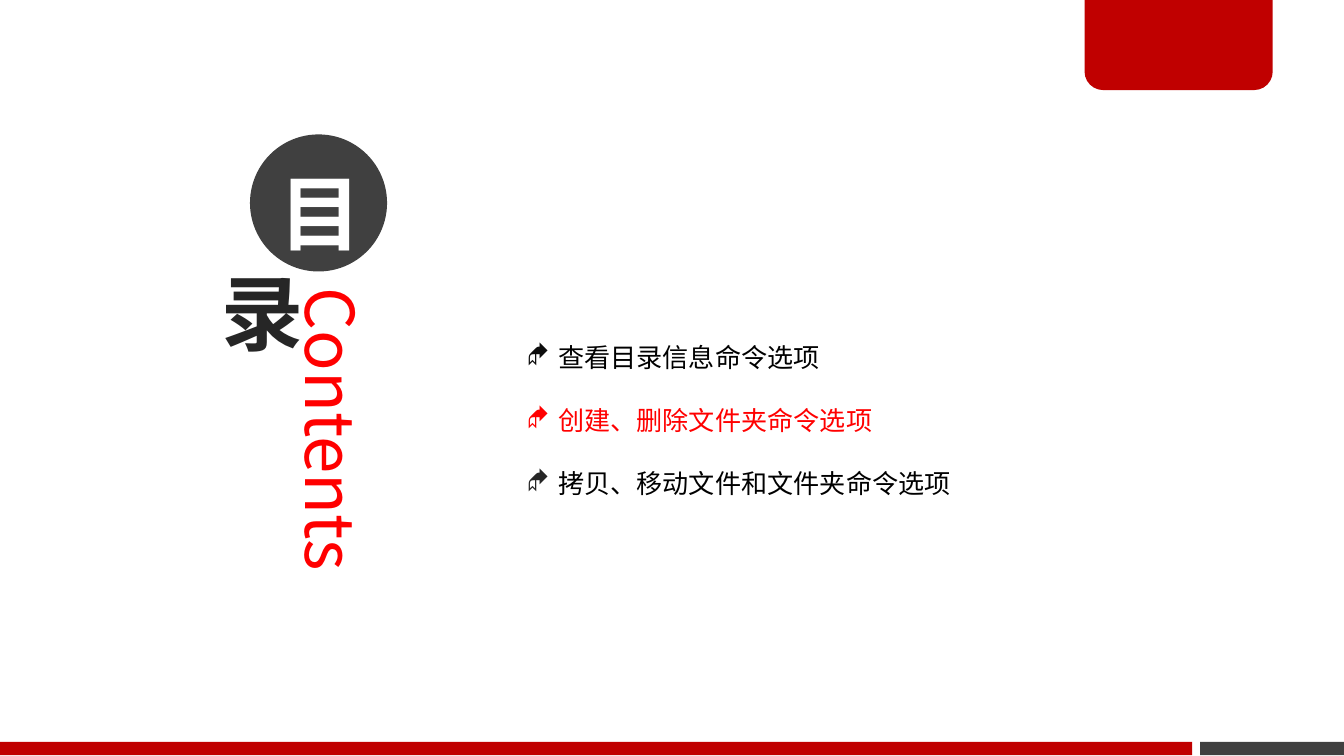
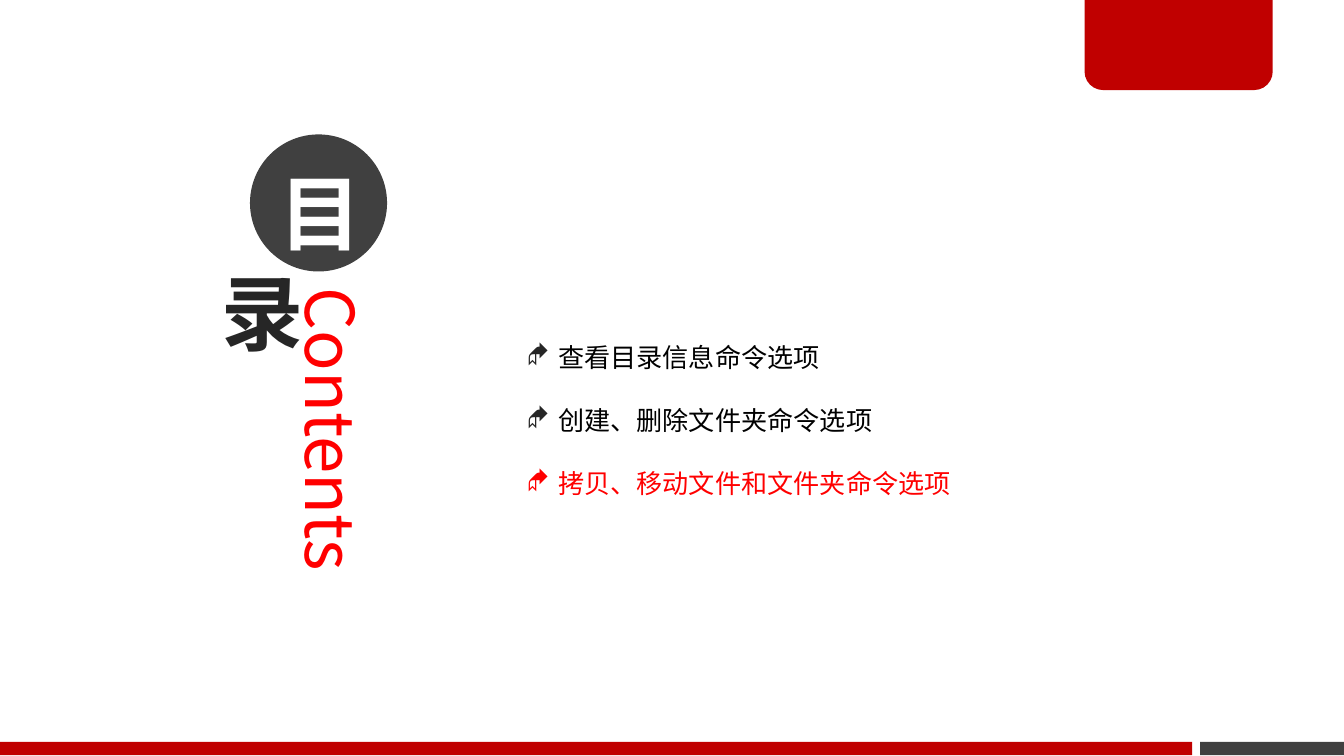
"""Builds two contents slides, each highlighting one section."""
from lxml.etree import SubElement
from pptx import Presentation
from pptx.dml.color import RGBColor
from pptx.enum.shapes import MSO_SHAPE
from pptx.enum.text import MSO_ANCHOR, MSO_AUTO_SIZE, PP_ALIGN
from pptx.oxml.ns import qn
from pptx.util import Inches, Pt

FONT = "Noto Sans CJK SC"
COLOURS = {
    "band": "C00000", "grey": "404040", "accent": "FF0000", "ink": "262626",
    "dark": "0D0D0D", "text": "000000", "white": "FFFFFF",
}
SECTIONS = ["查看目录信息命令选项", "创建、删除文件夹命令选项", "拷贝、移动文件和文件夹命令选项"]
SLIDE_BULLETS = [("dark", "accent", "ink"), ("ink", "ink", "accent")]


def colour(name):
    """Return the named colour."""
    return RGBColor.from_string(COLOURS[name])


def format_span(span, size, colour_name, bold=False):
    """Set the Latin and East Asian font, size and colour of a run."""
    span.font.name = FONT
    span.font.size = Pt(size)
    span.font.bold = bold
    span.font.color.rgb = colour(colour_name)
    SubElement(span.font._element, qn("a:ea"), typeface=FONT)


def set_margins(frame, left, top, right, bottom):
    """Set the insets of a text frame in inches."""
    frame.margin_left, frame.margin_top = Inches(left), Inches(top)
    frame.margin_right, frame.margin_bottom = Inches(right), Inches(bottom)


def add_shape(page, kind, left, top, width, height, fill=None):
    """Add a flat shape without an outline."""
    shape = page.shapes.add_shape(
        kind, Inches(left), Inches(top), Inches(width), Inches(height))
    shape.shadow.inherit = False
    shape.line.fill.background()
    if fill:
        shape.fill.solid()
        shape.fill.fore_color.rgb = colour(fill)
    else:
        shape.fill.background()
    return shape


def add_textbox(page, left, top, width, height):
    """Add a wrapping text box and return its frame."""
    box = page.shapes.add_textbox(
        Inches(left), Inches(top), Inches(width), Inches(height))
    box.text_frame.word_wrap = True
    return box.text_frame


def add_bands(page, layout):
    """Draw the tab and footer bands and move them to the shared layout."""
    for placeholder in list(layout.placeholders):
        layout.shapes.element.remove(placeholder.element)
    footer = add_shape(page, MSO_SHAPE.RECTANGLE, 8.93, 5.52, 1.07, 0.1, "grey")
    tab = add_shape(page, MSO_SHAPE.ROUND_2_SAME_RECTANGLE,
                    8.07, -0.02, 1.4, 0.69, "band")
    tab.adjustments[0], tab.adjustments[1] = 0, 0.2
    base = add_shape(page, MSO_SHAPE.RECTANGLE, 0, 5.52, 8.87, 0.1, "band")
    for shape in (footer, tab, base):
        layout.shapes.element.append(shape.element)


def add_character(page, text, left, top, size, text_colour, fill=None,
                  bottom_margin=0.04, spacing=None):
    """Add a large character centred in a circle."""
    circle = add_shape(page, MSO_SHAPE.OVAL, left, top, size, size, fill)
    frame = circle.text_frame
    set_margins(frame, 0.07, 0.04, 0.07, bottom_margin)
    frame.vertical_anchor = MSO_ANCHOR.MIDDLE
    frame.text = text
    para = frame.paragraphs[0]
    para.alignment = PP_ALIGN.CENTER
    para.line_spacing = spacing
    format_span(para.runs[0], 44, text_colour, bold=True)


def add_heading(page):
    """Add the vertical contents heading."""
    frame = add_textbox(page, 2.14, 2.1, 0.7, 2.89)
    set_margins(frame, 0.07, 0.04, 0.07, 0.04)
    frame._element.bodyPr.set("vert", "eaVert")
    frame.text = "Contents"
    format_span(frame.paragraphs[0].runs[0], 36, "accent")
    add_character(page, "目", 1.86, 1, 1.02, "white", "grey", 0.15, Pt(70))
    add_character(page, "录", 1.46, 1.92, 0.8, "ink")


def add_bullet(para, colour_name):
    """Give a paragraph a hanging diamond bullet."""
    properties = para._element.get_or_add_pPr()
    properties.set("marL", str(Inches(0.19)))
    properties.set("indent", str(-Inches(0.19)))
    bullet_colour = SubElement(properties, qn("a:buClr"))
    SubElement(bullet_colour, qn("a:srgbClr"), val=COLOURS[colour_name])
    SubElement(properties, qn("a:buFont"), typeface="Wingdings", charset="2")
    SubElement(properties, qn("a:buChar"), char="◆")


def add_sections(page, bullets):
    """List the sections, with the current one in the accent colour."""
    frame = add_textbox(page, 3.82, 2.26, 4.72, 1.44)
    frame.auto_size = MSO_AUTO_SIZE.SHAPE_TO_FIT_TEXT
    frame.text = "\n".join(f" {section}" for section in SECTIONS)
    for para, bullet in zip(frame.paragraphs, bullets):
        para.line_spacing = 2.0
        add_bullet(para, bullet)
        format_span(para.runs[0], 14, "accent" if bullet == "accent" else "text")


def main():
    """Build and save the deck."""
    deck = Presentation()
    deck.slide_width, deck.slide_height = Inches(10), Inches(10 * 9 / 16)
    layout = deck.slide_layouts.get_by_name("Blank")
    pages = [deck.slides.add_slide(layout) for _ in SLIDE_BULLETS]
    add_bands(pages[0], layout)
    for page, bullets in zip(pages, SLIDE_BULLETS):
        add_heading(page)
        add_sections(page, bullets)
    deck.save("out.pptx")


if __name__ == "__main__":
    main()
